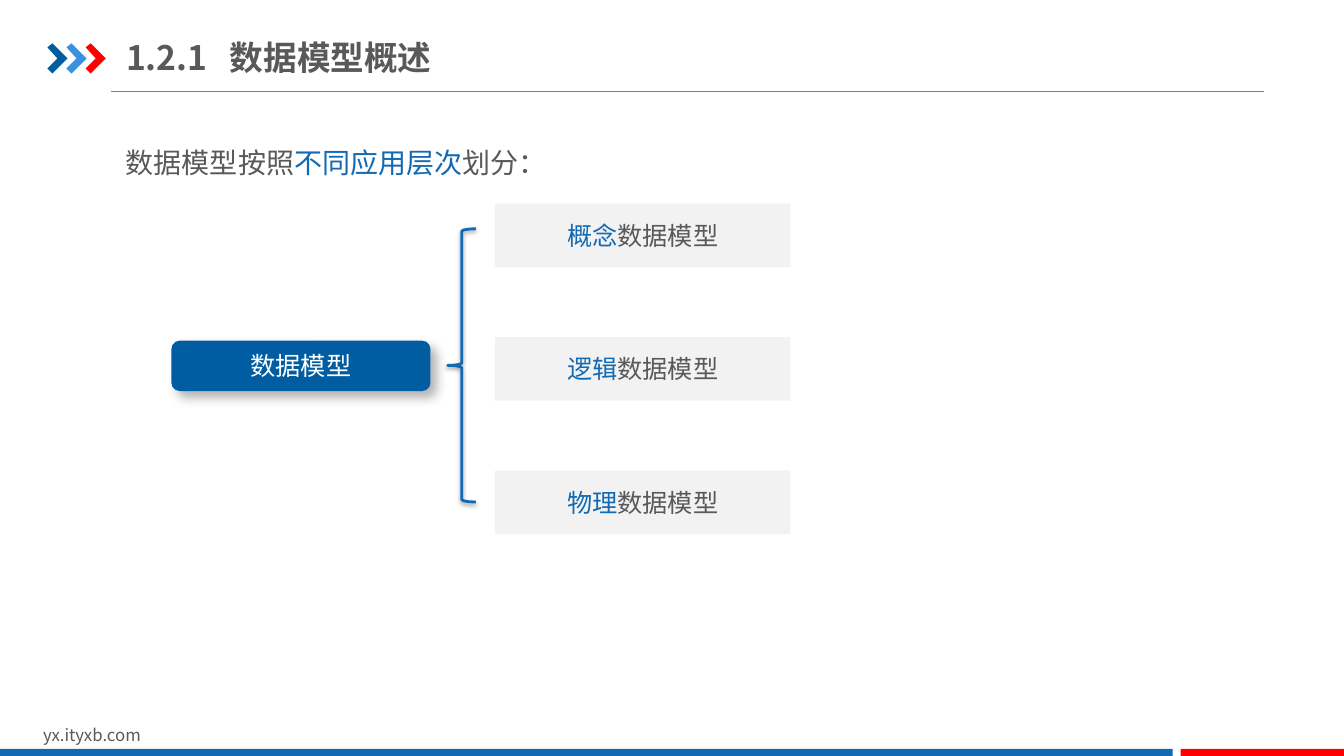
from lxml import etree
from pptx import Presentation
from pptx.dml.color import RGBColor
from pptx.enum.shapes import MSO_CONNECTOR, MSO_SHAPE
from pptx.enum.text import MSO_ANCHOR, MSO_AUTO_SIZE, PP_ALIGN
from pptx.oxml import parse_xml
from pptx.oxml.ns import nsdecls, qn
from pptx.util import Inches, Pt

RECT, ROUNDED, BRACE = MSO_SHAPE.RECTANGLE, MSO_SHAPE.ROUNDED_RECTANGLE, MSO_SHAPE.LEFT_BRACE
STRAIGHT = MSO_CONNECTOR.STRAIGHT
MIDDLE, NO_FIT = MSO_ANCHOR.MIDDLE, MSO_AUTO_SIZE.NONE
LEFT, CENTER = PP_ALIGN.LEFT, PP_ALIGN.CENTER
FONT = "Noto Sans CJK SC"
NAVY = RGBColor(0x00, 0x5D, 0xA2)
SKY = RGBColor(0x39, 0x92, 0xDB)
BLUE = RGBColor(0x13, 0x69, 0xB3)
RED = RGBColor(0xFF, 0x00, 0x00)
TEXT = RGBColor(0x59, 0x59, 0x59)
RULE = RGBColor(0x80, 0x80, 0x80)
CARD = RGBColor(0xF2, 0xF2, 0xF2)
WHITE = RGBColor(0xFF, 0xFF, 0xFF)

deck = Presentation()
deck.slide_width, deck.slide_height = Inches(13.33), Inches(7.5)
WIDTH, HEIGHT = deck.slide_width, deck.slide_height
page = deck.slides.add_slide(deck.slide_layouts[5])
shapes = page.shapes


def write(shape, spans, size, align=LEFT, bold=False):
    """Fill one paragraph with (text, colour) spans."""
    para = shape.text_frame.paragraphs[0]
    para.alignment = align
    for text, color in spans:
        span = para.add_run()
        span.text = text
        span.font.name, span.font.size, span.font.bold = FONT, Pt(size), bold
        span.font.color.rgb = color
        etree.SubElement(span.font._element, qn("a:ea"), typeface=FONT)
    return para


def add_block(kind, left, top, width, height, fill=None, shadow=None):
    """Add a shape; shadow is (blur pt, distance pt, degrees, opacity %)."""
    block = shapes.add_shape(kind, left, top, width, height)
    block.shadow.inherit = False
    block.line.fill.background()
    if fill is None:
        block.fill.background()
    else:
        block.fill.solid()
        block.fill.fore_color.rgb = fill
    if shadow:
        blur, distance, degrees, opacity = shadow
        block._element.spPr.find(qn("a:effectLst")).append(parse_xml(
            f'<a:outerShdw {nsdecls("a")} blurRad="{Pt(blur)}" dist="{Pt(distance)}" '
            f'dir="{degrees * 60000}" algn="tl" rotWithShape="0"><a:srgbClr val="000000">'
            f'<a:alpha val="{opacity * 1000}"/></a:srgbClr></a:outerShdw>'))
    block.text_frame.vertical_anchor = MIDDLE
    return block


# Header
rule = shapes.add_connector(STRAIGHT, Inches(1.1), Inches(0.91), Inches(12.54), Inches(0.91))
rule.line.color.rgb, rule.line.width = RULE, Pt(0.75)
etree.SubElement(rule._element.spPr, qn("a:effectLst"))

CHEVRON = [(0, 0.04), (0.05, 0), (0.2, 0.15), (0.05, 0.3), (0, 0.25), (0.1, 0.15)]
for column, color in enumerate((NAVY, SKY, RED)):
    points = [(Inches(0.47 + 0.19 * column + x), Inches(0.43 + y)) for x, y in CHEVRON]
    builder = shapes.build_freeform(*points[0])
    builder.add_line_segments(points[1:], close=True)
    chevron = builder.convert_to_shape()
    chevron.shadow.inherit = False
    chevron.fill.solid()
    chevron.fill.fore_color.rgb = color
    chevron.line.fill.background()

title = shapes.title
title.left, title.top, title.width, title.height = (Inches(n) for n in (1.25, 0.29, 4.26, 0.55))
frame = title.text_frame
frame.auto_size, frame.vertical_anchor = NO_FIT, MIDDLE
frame.margin_left = frame.margin_right = 0
tabs = etree.SubElement(frame.paragraphs[0]._p.get_or_add_pPr(), qn("a:tabLst"))
etree.SubElement(tabs, qn("a:tab"), pos=str(Inches(1.03)), algn="l")
write(title, [("1.2.1\t数据模型概述", TEXT)], 24, bold=True)

# Footer
address = shapes.add_textbox(Inches(0.33), Inches(7.14), Inches(3.18), Inches(0.3))
address.text_frame.word_wrap = True
write(address, [("yx.ityxb.com", TEXT)], 12)
bar_top = Inches(7.43)
red_left = Inches(11.71)
add_block(RECT, 0, bar_top, red_left - Inches(0.08), HEIGHT - bar_top, BLUE)
add_block(RECT, red_left, bar_top, WIDTH - red_left, HEIGHT - bar_top, RED)

# Lead sentence
lead = shapes.add_textbox(Inches(1.15), Inches(1.23), Inches(11.1), Inches(0.55))
lead.text_frame.word_wrap = True
lead_spans = [("数据模型按照", TEXT), ("不同应用层次", BLUE), ("划分：", TEXT)]
write(lead, lead_spans, 20).line_spacing = 1.5

# Model tree
root = add_block(ROUNDED, Inches(1.7), Inches(3.38), Inches(2.57), Inches(0.5),
                 NAVY, shadow=(8, 6, 45, 30))
write(root, [("数据模型", WHITE)], 18, CENTER)

brace = add_block(BRACE, Inches(4.44), Inches(2.27), Inches(0.28), Inches(2.71),
                  shadow=(3.1, 1.6, 90, 38))
brace.line.color.rgb, brace.line.width = BLUE, Pt(2)

for row, level in enumerate(("概念", "逻辑", "物理")):
    card = add_block(RECT, Inches(4.91), Inches(2.02 + 1.325 * row), Inches(2.93), Inches(0.63), CARD)
    write(card, [(level, BLUE), ("数据模型", TEXT)], 18, CENTER)

deck.save("out.pptx")
